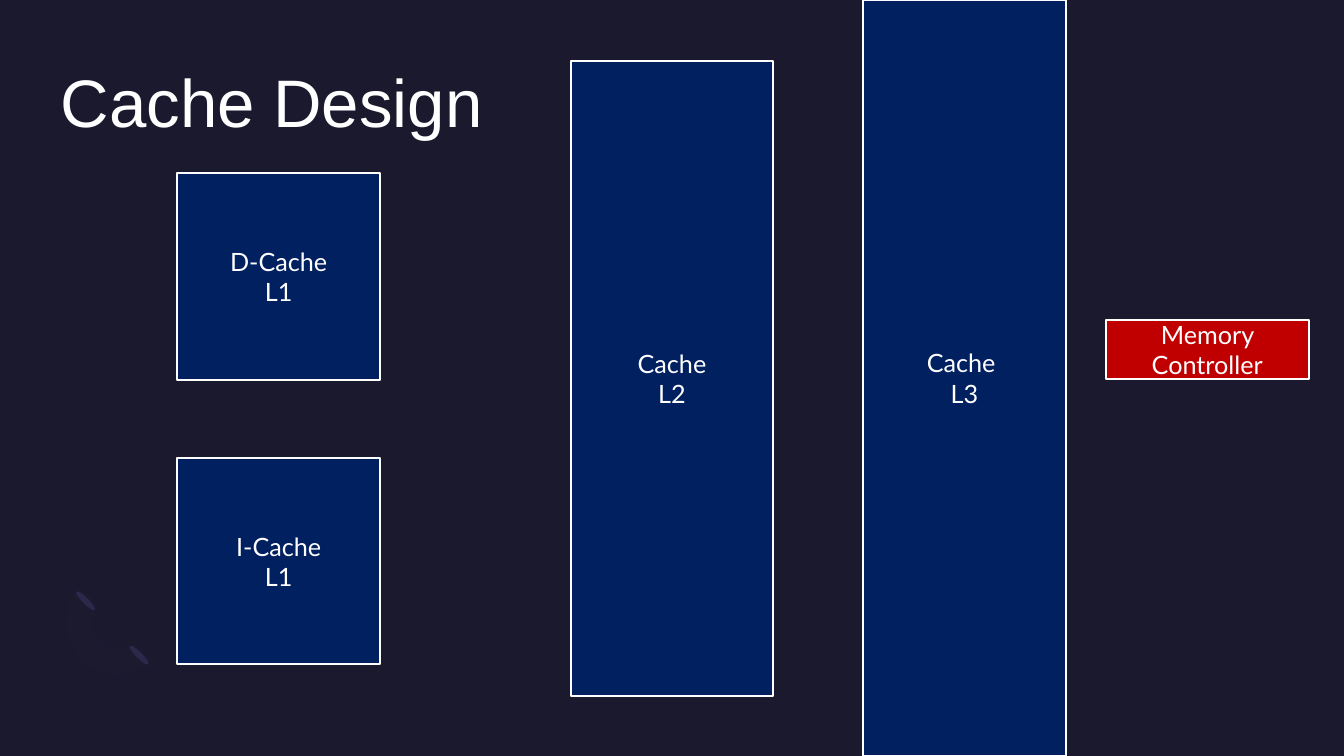
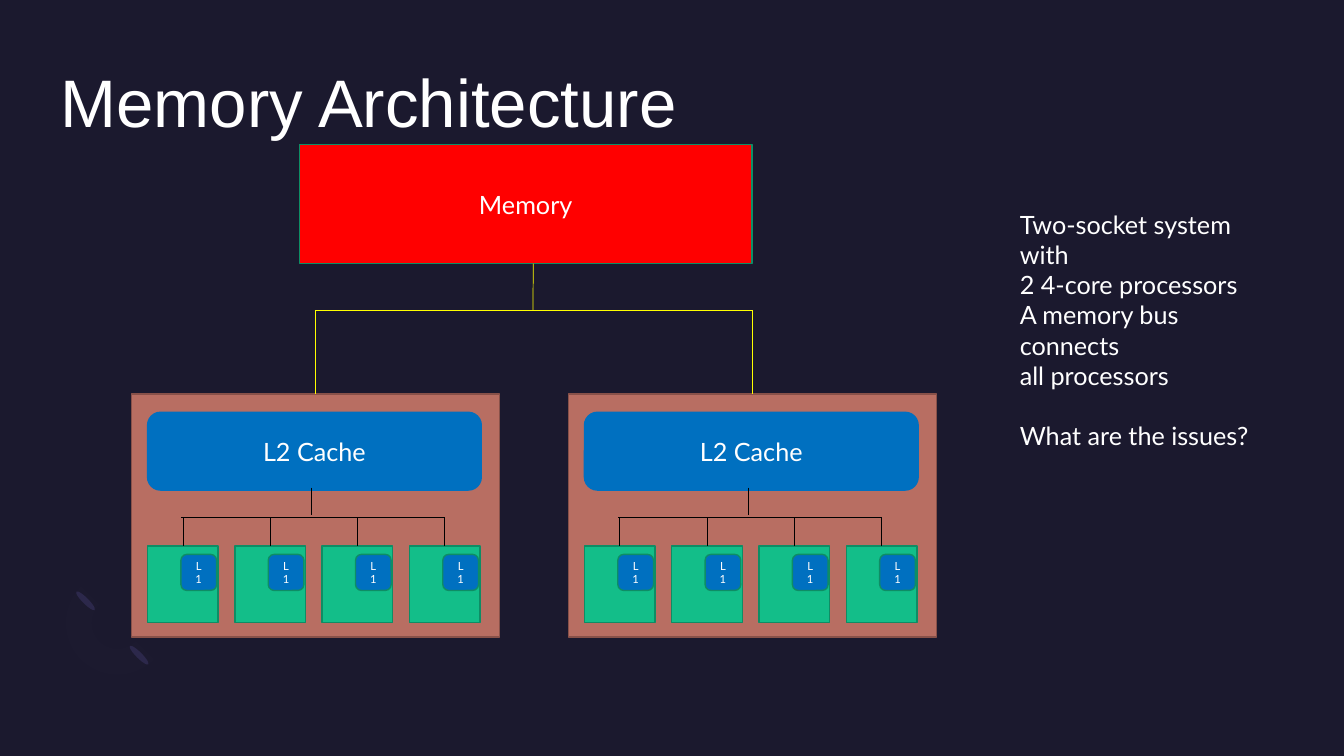
from lxml import etree
from pptx import Presentation
from pptx.dml.color import RGBColor
from pptx.enum.shapes import MSO_CONNECTOR, MSO_SHAPE
from pptx.enum.text import MSO_ANCHOR, PP_ALIGN
from pptx.oxml.ns import qn
from pptx.util import Cm, Pt

RECT, ROUNDED = MSO_SHAPE.RECTANGLE, MSO_SHAPE.ROUNDED_RECTANGLE
ELLIPSE, ARC = MSO_SHAPE.OVAL, MSO_SHAPE.BLOCK_ARC
STRAIGHT = MSO_CONNECTOR.STRAIGHT
MIDDLE, CENTER = MSO_ANCHOR.MIDDLE, PP_ALIGN.CENTER
TOP = 0

BACKGROUND = RGBColor(0x1B, 0x19, 0x2E)
ORNAMENT = RGBColor(0x2C, 0x28, 0x4A)
ARC_TINT = RGBColor(0x77, 0x71, 0xB2)
WHITE = RGBColor(0xFF, 0xFF, 0xFF)
BLACK = RGBColor(0x00, 0x00, 0x00)
NAVY = RGBColor(0x00, 0x20, 0x60)
DARK_RED = RGBColor(0xC0, 0x00, 0x00)
RED = RGBColor(0xFF, 0x00, 0x00)
YELLOW = RGBColor(0xFF, 0xFF, 0x00)
BLUE = RGBColor(0x00, 0x70, 0xC0)
CLAY = RGBColor(0xB8, 0x6E, 0x62)
DARK_CLAY = RGBColor(0x88, 0x51, 0x49)
GREEN = RGBColor(0x13, 0xBE, 0x89)
DARK_GREEN = RGBColor(0x0E, 0x8D, 0x65)
TITLE_FONT, BODY_FONT = "Arial", "Lato"


def add_box(slide, kind, box, fill, line=None, width=1, lines=(), size=18):
    """Add a filled shape; box is left, top, width, height in cm."""
    sp = slide.shapes.add_shape(kind, *map(Cm, box))
    sp.shadow.inherit = False
    sp.fill.solid()
    sp.fill.fore_color.rgb = fill
    if line is None:
        sp.line.fill.background()
    else:
        sp.line.color.rgb = line
        sp.line.width = Pt(width)
    tf = sp.text_frame
    tf.vertical_anchor = MIDDLE
    for i, text in enumerate(lines):
        p = tf.add_paragraph() if i else tf.paragraphs[0]
        p.text = text
        p.alignment = CENTER
        p.font.name, p.font.size, p.font.color.rgb = BODY_FONT, Pt(size), WHITE
    return sp


def add_line(slide, x1, y1, x2, y2, color):
    line = slide.shapes.add_connector(STRAIGHT, x1, y1, x2, y2)
    line.line.color.rgb = color
    line.line.width = Pt(0.5)
    etree.SubElement(line._element.spPr, qn("a:effectLst"))
    return line


prs = Presentation()
prs.slide_width, prs.slide_height = Cm(33.87), Cm(19.05)
master_fill = prs.slide_master.background.fill
master_fill.solid()
master_fill.fore_color.rgb = BACKGROUND

# Shared ornament and title
slides = []
for title in ("Cache Design", "Memory Architecture"):
    slide = prs.slides.add_slide(prs.slide_layouts[6])
    slides.append(slide)
    for x, y in ((3.43, 16.18), (2.08, 14.81)):
        add_box(slide, ELLIPSE, (x, y, 0.15, 0.66), ORNAMENT).rotation = 135
    arc = add_box(slide, ARC, (1.66, 14.4, 2.6, 2.6), ARC_TINT)
    arc.rotation = 225
    tint = arc._element.spPr.find(qn("a:solidFill"))[0]
    etree.SubElement(tint, qn("a:alpha"), val="1000")
    tf = slide.shapes.add_textbox(Cm(1.53), Cm(1.52), Cm(30.81), Cm(3.71)).text_frame
    tf.word_wrap = True
    tf.margin_left = tf.margin_top = tf.margin_right = tf.margin_bottom = 0
    p = tf.paragraphs[0]
    p.text = title
    p.font.name, p.font.size, p.font.color.rgb = TITLE_FONT, Pt(48), WHITE
cache_slide, memory_slide = slides

# Cache design
BLOCK_W = 5.11
for x, y, h, fill, lines in (
    (4.47, 4.37, 5.2, NAVY, ("D-Cache", "L1")),
    (14.38, 1.53, 16, NAVY, ("Cache", "L2")),
    (4.47, 11.54, 5.2, NAVY, ("I-Cache", "L1")),
    (21.75, 0, 19.05, NAVY, ("Cache ", "L3")),
    (27.87, 8.06, 1.5, DARK_RED, ("Memory Controller",)),
):
    add_box(cache_slide, RECT, (x, y, BLOCK_W, h), fill, WHITE, 1.5, lines)

# Memory architecture: two sockets with four cores each
CORE_PITCH, SOCKET_PITCH = 2.2, 11.01
core_bus_y, memory_bus_y = Cm(13.04), Cm(7.82)
socket_mids = []
for n in range(2):
    left = 3.32 + n * SOCKET_PITCH
    socket = add_box(memory_slide, RECT, (left, 9.93, 9.27, 6.12), CLAY, DARK_CLAY)
    add_box(memory_slide, ROUNDED, (left + 0.4, 10.39, 8.41, 1.96),
            BLUE, BLUE, lines=("L2 Cache",))
    core_mids = []
    for i in range(4):
        x = left + 0.4 + i * CORE_PITCH
        core = add_box(memory_slide, RECT, (x, 13.76, 1.78, 1.93), GREEN, DARK_GREEN)
        l1 = add_box(memory_slide, ROUNDED, (x + 0.84, 13.97, 0.9, 0.91),
                     BLUE, DARK_GREEN, lines=("L1",), size=8)
        l1.text_frame.margin_left = l1.text_frame.margin_right = Cm(0.3)
        mid = core.left + core.width // 2
        core_mids.append(mid)
        drop = add_line(memory_slide, mid, core_bus_y, mid, core.top, BLACK)
        drop.end_connect(core, TOP)
    add_line(memory_slide, Cm(left + 1.25), core_bus_y, core_mids[-1], core_bus_y, BLACK)
    stem_x = Cm(left + 4.53)
    add_line(memory_slide, stem_x, Cm(12.29), stem_x, Cm(12.98), BLACK)
    mid = socket.left + socket.width // 2
    socket_mids.append(mid)
    drop = add_line(memory_slide, mid, memory_bus_y, mid, socket.top, YELLOW)
    drop.end_connect(socket, TOP)

add_line(memory_slide, socket_mids[0], memory_bus_y, socket_mids[1], memory_bus_y, YELLOW)
memory = add_box(memory_slide, RECT, (7.55, 3.64, 11.4, 3), RED, DARK_GREEN,
                 lines=("Memory",))
add_line(memory_slide, Cm(13.44), memory.top + memory.height,
         Cm(13.43), memory_bus_y, YELLOW)

tf = memory_slide.shapes.add_textbox(Cm(25.45), Cm(5.14), Cm(7.03), Cm(6.35)).text_frame
tf.word_wrap = True
for i, text in enumerate((
    "Two-socket system with",
    "2 4-core processors",
    "A memory bus connects",
    "all processors",
    "What are the issues?",
)):
    p = tf.add_paragraph() if i else tf.paragraphs[0]
    p.text = text
    p.font.name, p.font.size, p.font.color.rgb = BODY_FONT, Pt(18), WHITE
p.space_before = Pt(21.6)

prs.save("out.pptx")
